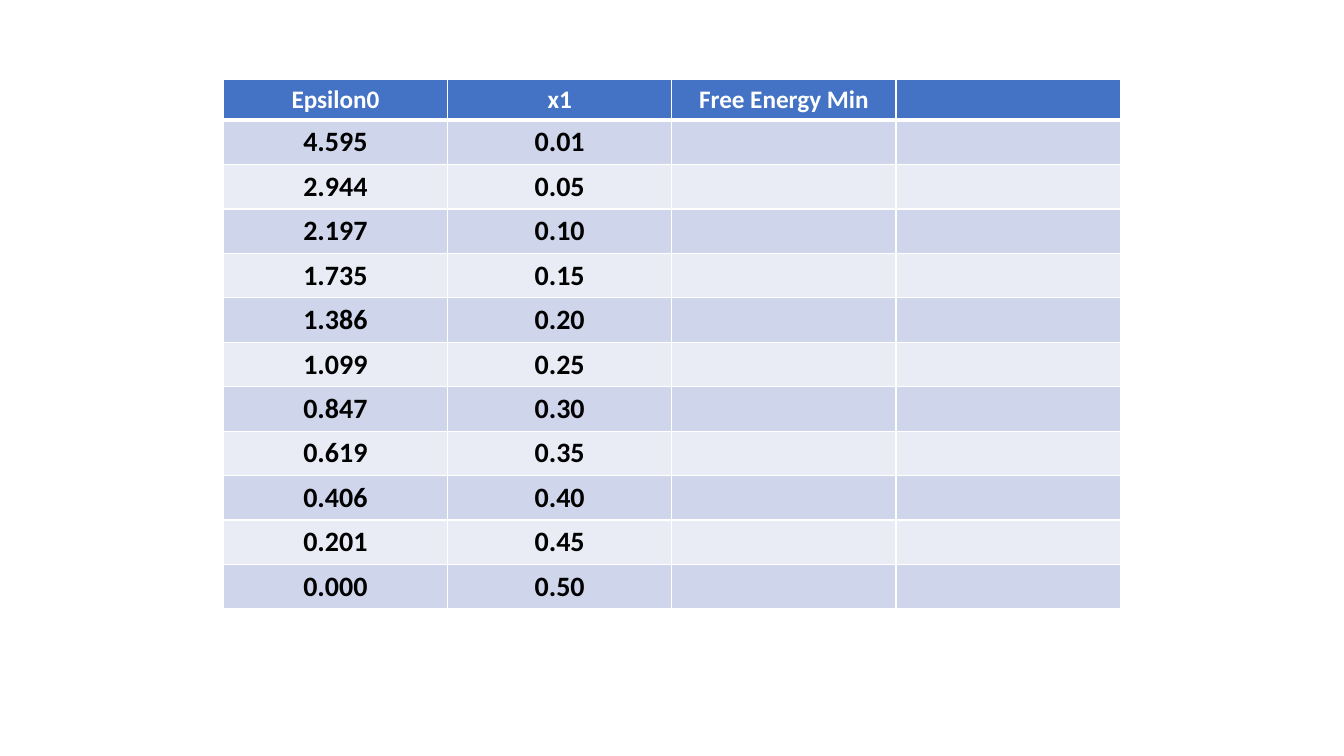
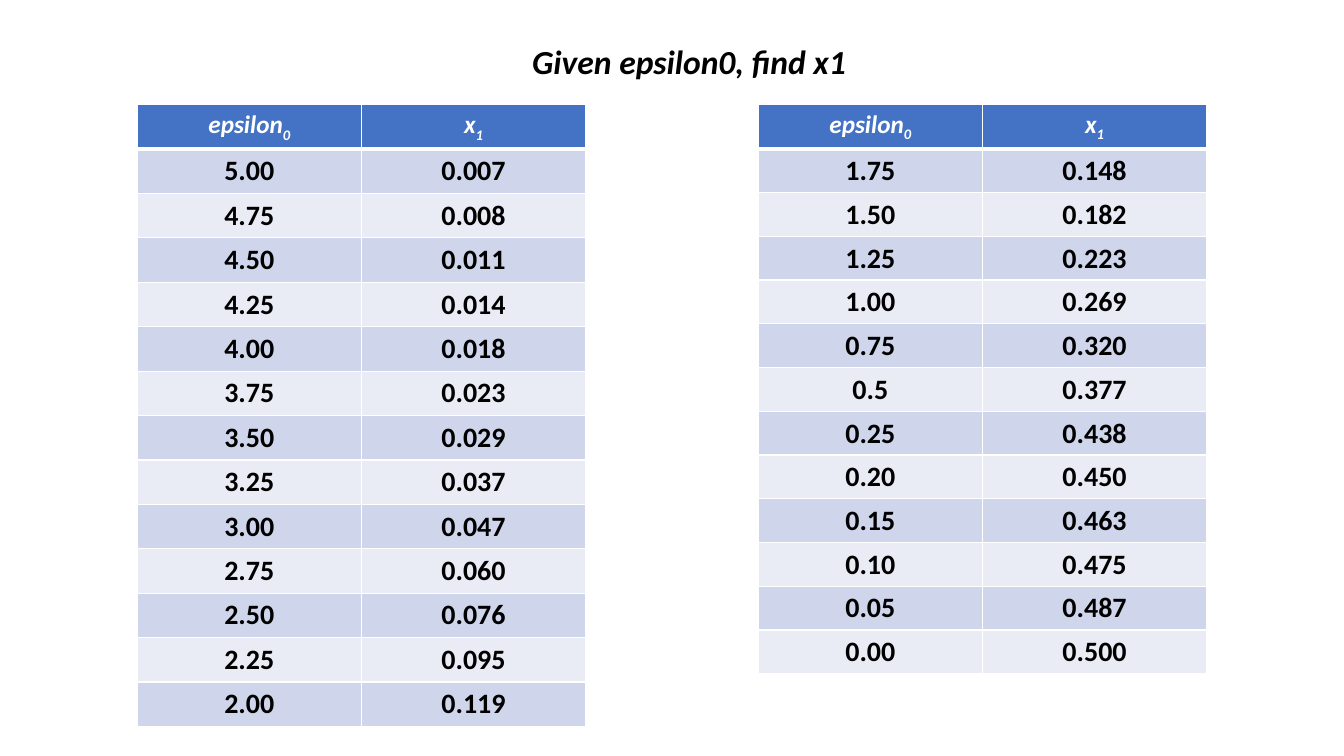
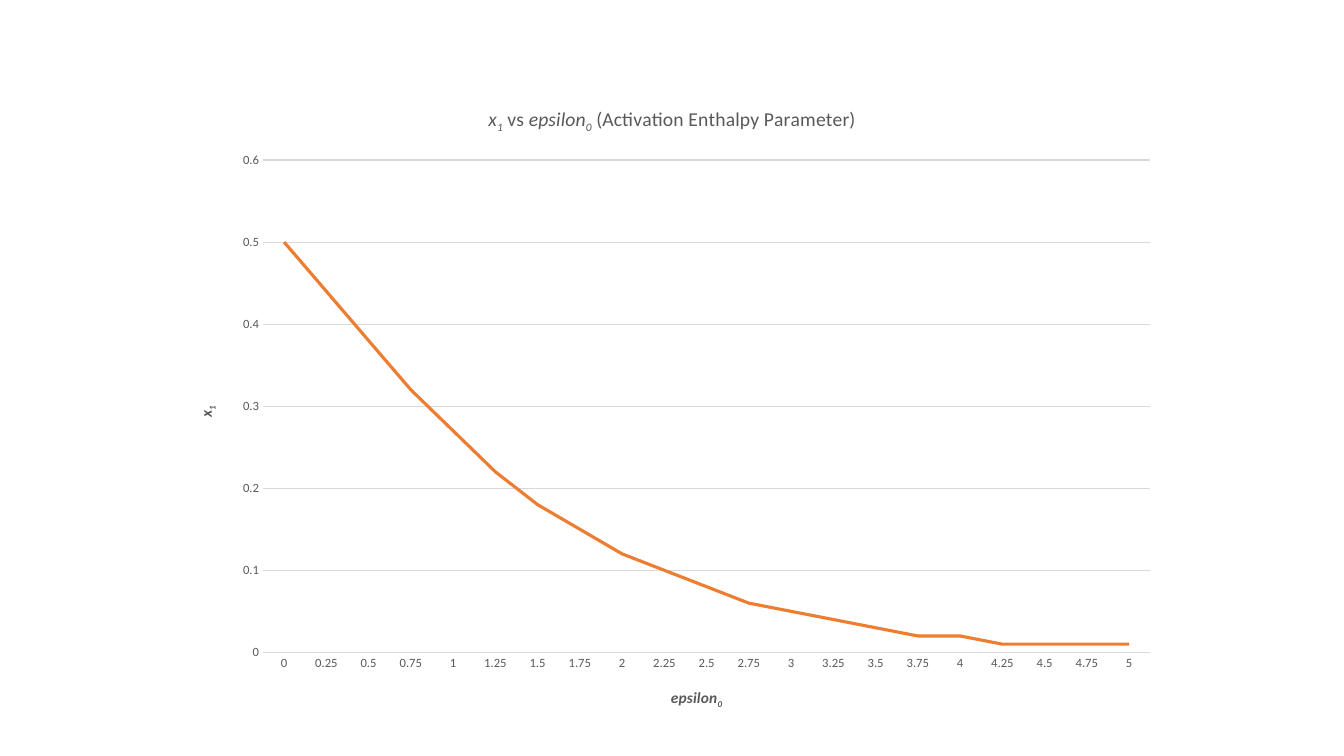
"""Build three slides on epsilon0 and x1: two of tables and one line chart."""
from lxml.etree import SubElement
from pptx import Presentation
from pptx.chart.data import CategoryChartData
from pptx.dml.color import RGBColor
from pptx.enum.chart import XL_CHART_TYPE, XL_TICK_MARK
from pptx.enum.text import MSO_AUTO_SIZE, PP_ALIGN
from pptx.oxml.ns import qn
from pptx.util import Cm, Pt

FONT = "Calibri"
WHITE = RGBColor(0xFF, 0xFF, 0xFF)
BLACK = RGBColor(0x00, 0x00, 0x00)
BLUE = RGBColor(0x44, 0x72, 0xC4)
BANDS = RGBColor(0xCF, 0xD5, 0xEA), RGBColor(0xE9, 0xEB, 0xF5)
GRAY = RGBColor(0x59, 0x59, 0x59)
PALE = RGBColor(0xD9, 0xD9, 0xD9)
ORANGE = RGBColor(0xED, 0x7D, 0x31)

COL = 5.65
ROW = 1.03

EPS = [("epsilon", True, False), ("0", True, True)]
FRAC = [("x", True, False), ("1", True, True)]
TITLE = FRAC + [(" vs ", False, False)] + EPS + [
    (" (Activation Enthalpy Parameter)", False, False)]

ENERGY = [
    ("4.595", "0.01"), ("2.944", "0.05"), ("2.197", "0.10"),
    ("1.735", "0.15"), ("1.386", "0.20"), ("1.099", "0.25"),
    ("0.847", "0.30"), ("0.619", "0.35"), ("0.406", "0.40"),
    ("0.201", "0.45"), ("0.000", "0.50"),
]
HIGH = [
    ("5.00", "0.007"), ("4.75", "0.008"), ("4.50", "0.011"),
    ("4.25", "0.014"), ("4.00", "0.018"), ("3.75", "0.023"),
    ("3.50", "0.029"), ("3.25", "0.037"), ("3.00", "0.047"),
    ("2.75", "0.060"), ("2.50", "0.076"), ("2.25", "0.095"),
    ("2.00", "0.119"),
]
LOW = [
    ("1.75", "0.148"), ("1.50", "0.182"), ("1.25", "0.223"),
    ("1.00", "0.269"), ("0.75", "0.320"), ("0.5", "0.377"),
    ("0.25", "0.438"), ("0.20", "0.450"), ("0.15", "0.463"),
    ("0.10", "0.475"), ("0.05", "0.487"), ("0.00", "0.500"),
]


def style(font, size, color, bold=False, italic=False):
    """Set the look of a font."""
    font.name = FONT
    font.size = Pt(size)
    font.bold = bold
    font.italic = italic
    font.color.rgb = color


def write(par, parts, size, color, bold):
    """Fill a paragraph from (text, italic, subscript) parts."""
    for text, italic, sub in parts:
        run = par.add_run()
        run.text = text
        style(run.font, size, color, bold, italic)
        if sub:
            run._r.get_or_add_rPr().set("baseline", "-25000")


def edge(cell, base):
    """Draw white borders, with the lower one of the given width."""
    props = cell._tc.get_or_add_tcPr()
    for side, width in (("L", 1), ("R", 1), ("T", 1), ("B", base)):
        line = SubElement(props, qn(f"a:ln{side}"), w=str(Pt(width)))
        fill = SubElement(line, qn("a:solidFill"))
        SubElement(fill, qn("a:srgbClr"), val=str(WHITE))


def paint(cell, parts, head, fill):
    """Format one table cell and write its text."""
    edge(cell, 3 if head else 1)
    cell.fill.solid()
    cell.fill.fore_color.rgb = fill
    par = cell.text_frame.paragraphs[0]
    par.alignment = PP_ALIGN.CENTER
    write(par, parts, 18 if head else 20, WHITE if head else BLACK, True)


def plain(text):
    """Return text as a list of upright parts."""
    return [(text, False, False)] if text else []


def grid(slide, left, top, high, heads, rows):
    """Add a banded table with a blue header row."""
    count = len(heads)
    frame = slide.shapes.add_table(
        len(rows) + 1, count, Cm(left), Cm(top), Cm(COL * count), Cm(high))
    table = frame.table
    for row in table.rows:
        row.height = Cm(ROW)
    frame.height = Cm(high)
    for col, parts in enumerate(heads):
        paint(table.cell(0, col), parts, True, BLUE)
        for num, row in enumerate(rows):
            text = row[col] if col < len(row) else ""
            paint(table.cell(num + 1, col), plain(text), False, BANDS[num % 2])


def label(slide, text, left, top, width, height):
    """Add a bold italic heading on one line."""
    box = slide.shapes.add_textbox(Cm(left), Cm(top), Cm(width), Cm(height))
    frame = box.text_frame
    frame.word_wrap = False
    frame.auto_size = MSO_AUTO_SIZE.SHAPE_TO_FIT_TEXT
    frame.text = text
    style(frame.paragraphs[0].runs[0].font, 24, BLACK, True, True)


def scale(axis, parts):
    """Format a chart axis and give it a title."""
    axis.major_tick_mark = XL_TICK_MARK.NONE
    axis.minor_tick_mark = XL_TICK_MARK.NONE
    style(axis.tick_labels.font, 9, GRAY)
    write(axis.axis_title.text_frame.paragraphs[0], parts, 11, GRAY, True)


def rule(line, color, width):
    """Set the colour and width of a line."""
    line.color.rgb = color
    line.width = Pt(width)


def plot(slide, rows, left, top, width, height):
    """Add the line chart of x1 against epsilon0."""
    data = CategoryChartData()
    data.categories = [f"{float(eps):g}" for eps, _ in rows]
    data.add_series("Series 1", [round(float(frac), 2) for _, frac in rows])
    chart = slide.shapes.add_chart(
        XL_CHART_TYPE.LINE, Cm(left), Cm(top), Cm(width), Cm(height),
        data).chart
    style(chart.font, 10, BLACK)
    chart.has_legend = False
    write(chart.chart_title.text_frame.paragraphs[0], TITLE, 14, GRAY, False)
    scale(chart.category_axis, EPS)
    rule(chart.category_axis.format.line, PALE, 0.75)
    axis = chart.value_axis
    scale(axis, FRAC)
    axis.format.line.fill.background()
    rule(axis.major_gridlines.format.line, PALE, 0.75)
    chart.plots[0].vary_by_categories = False
    curve = chart.plots[0].series[0]
    curve.smooth = False
    rule(curve.format.line, ORANGE, 2.25)


def main():
    """Build the deck and save it."""
    deck = Presentation()
    deck.slide_width = Cm(33.87)
    deck.slide_height = Cm(19.05)
    first, second, third = (
        deck.slides.add_slide(deck.slide_layouts[6]) for _ in range(3))

    heads = [plain(text) for text in ("Epsilon0", "x1", "Free Energy Min", "")]
    grid(first, 5.63, 2, 13.13, heads, ENERGY)

    grid(second, 3.46, 2.64, 15.34, [EPS, FRAC], HIGH)
    label(second, "Given epsilon0, find x1", 13.16, 0.9, 8.48, 1.28)
    grid(second, 19.11, 2.63, 14.25, [EPS, FRAC], LOW)

    steps = [row for row in HIGH + LOW if float(row[0]) % 0.25 == 0]
    plot(third, steps[::-1], 4.39, 2.13, 25.1, 16.31)
    deck.save("out.pptx")


if __name__ == "__main__":
    main()
